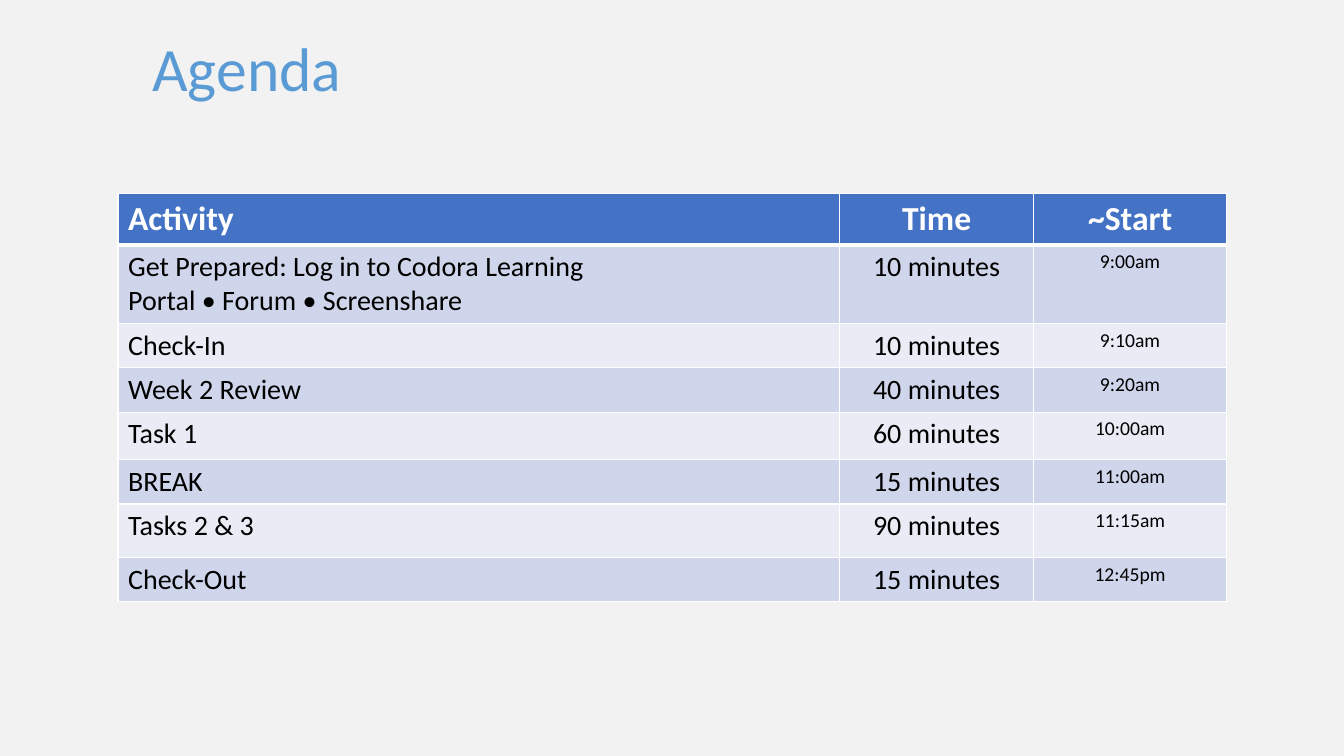
from dataclasses import dataclass

from pptx import Presentation
from pptx.dml.color import RGBColor
from pptx.enum.text import MSO_ANCHOR, PP_ALIGN
from pptx.oxml import parse_xml
from pptx.oxml.ns import nsdecls
from pptx.util import Inches, Pt

WIDE, HIGH = Inches(13.33), Inches(7.5)
GLUE = chr(160)
TOOLS = GLUE.join(("Portal", "•", "Forum", "•", "Screenshare"))
COLS = (53.71, 14.4, 14.4)
ROWS = (
    (5.87, "Activity", "Time", "~Start"),
    (5.07, f"Get Prepared: Log in to Codora Learning {TOOLS}", "10 minutes", "9:00am"),
    (5.07, "Check-In", "10 minutes", "9:10am"),
    (5.07, "Week 2 Review", "40 minutes", "9:20am"),
    (6.27, "Task 1", "60 minutes", "10:00am"),
    (5.07, "BREAK", "15 minutes", "11:00am"),
    (7.07, "Tasks 2 & 3", "90 minutes", "11:15am"),
    (5.07, "Check-Out", "15 minutes", "12:45pm"),
)


@dataclass(frozen=True)
class Theme:
    """Colours and type of the slide."""
    face: str = "Calibri"
    back: str = "F2F2F2"
    title: str = "5B9BD5"
    head: str = "4472C4"
    bands: tuple = ("E9EBF5", "CFD5EA")
    ink: str = "000000"
    line: str = "FFFFFF"
    big: int = 44
    top: int = 24
    sizes: tuple = (20, 20, 14)


LOOK = Theme()


def across(part):
    """Turn a percentage of the slide width into a length."""
    return round(WIDE * part / 100)


def down(part):
    """Turn a percentage of the slide height into a length."""
    return round(HIGH * part / 100)


def style(para, size, color, bold=False):
    """Set the font of a paragraph."""
    font = para.font
    font.name, font.size, font.bold = LOOK.face, Pt(size), bold
    font.color.rgb = RGBColor.from_string(color)


def border(cell, side, width):
    """Draw one edge of a cell."""
    cell._tc.get_or_add_tcPr().append(parse_xml(
        f'<a:ln{side} {nsdecls("a")} w="{Pt(width)}"><a:solidFill>'
        f'<a:srgbClr val="{LOOK.line}"/></a:solidFill></a:ln{side}>'))


def fill_cell(cell, text, row, col):
    """Write and format a cell by its place in the table."""
    head = row == 0
    cell.text = text
    para = cell.text_frame.paragraphs[0]
    para.alignment = PP_ALIGN.CENTER if col else PP_ALIGN.LEFT
    style(para, LOOK.top if head else LOOK.sizes[col],
          LOOK.line if head else LOOK.ink, head)
    for side in "LRTB":
        thick = (row, side) in ((0, "B"), (1, "T"))
        border(cell, side, 3 if thick else 1)
    cell.fill.solid()
    cell.fill.fore_color.rgb = RGBColor.from_string(
        LOOK.head if head else LOOK.bands[row % 2])


def add_title(slide, text):
    """Place and format the title."""
    title = slide.shapes.title
    title.left, title.top = across(10.58), down(1.87)
    title.width, title.height = across(82.22), down(15.2)
    frame = title.text_frame
    frame.text = text
    frame.vertical_anchor = MSO_ANCHOR.MIDDLE
    para = frame.paragraphs[0]
    para.alignment, para.line_spacing = PP_ALIGN.LEFT, 0.9
    style(para, LOOK.big, LOOK.title)


def add_plan(slide):
    """Build the table of activities."""
    high = sum(row[0] for row in ROWS)
    table = slide.shapes.add_table(
        len(ROWS), len(COLS), across(8.78), down(25.6),
        across(sum(COLS)), down(high)).table
    for col, width in zip(table.columns, COLS):
        col.width = across(width)
    for row, (height, *texts) in enumerate(ROWS):
        table.rows[row].height = down(height)
        for col, text in enumerate(texts):
            fill_cell(table.cell(row, col), text, row, col)


def main():
    """Build and save the slide."""
    deck = Presentation()
    deck.slide_width, deck.slide_height = WIDE, HIGH
    slide = deck.slides.add_slide(deck.slide_layouts[5])
    back = slide.background.fill
    back.solid()
    back.fore_color.rgb = RGBColor.from_string(LOOK.back)
    add_title(slide, "Agenda")
    add_plan(slide)
    deck.save("out.pptx")


if __name__ == "__main__":
    main()
